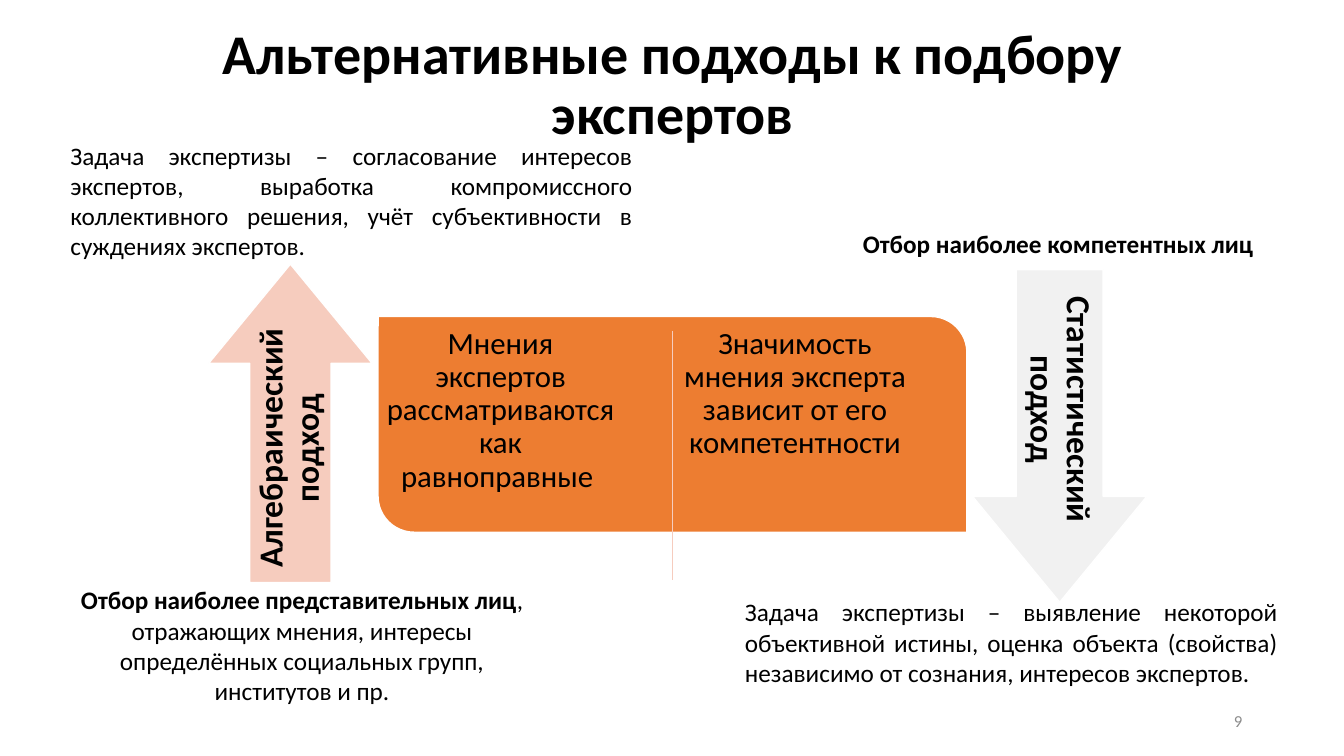
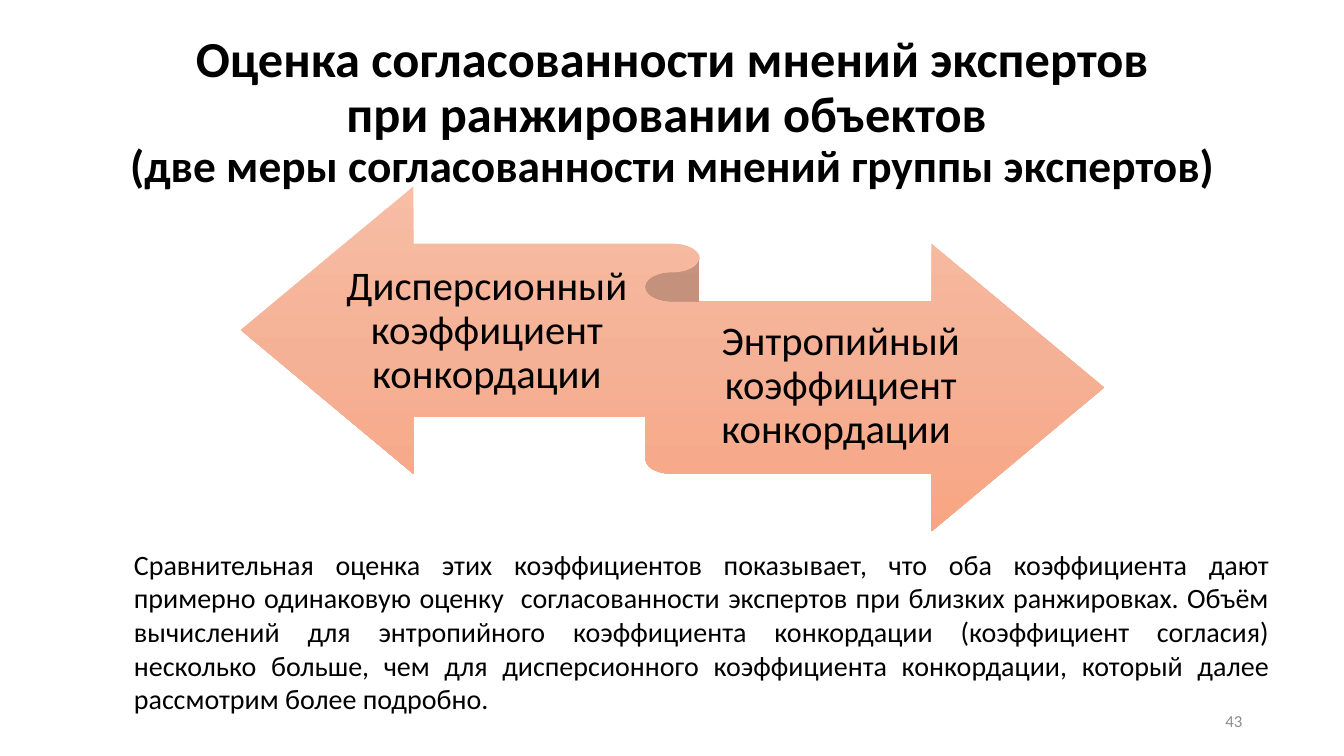
from copy import deepcopy

from lxml import etree
from pptx import Presentation
from pptx.dml.color import RGBColor
from pptx.enum.shapes import MSO_CONNECTOR, MSO_SHAPE
from pptx.enum.text import MSO_ANCHOR, PP_ALIGN
from pptx.oxml.ns import qn
from pptx.util import Pt

PX = 9144  # 100 px to the inch
FONT = "Calibri"
BLACK, GRAY, WHITE = "000000", "8C8C8C", "FFFFFF"
ORANGE, PINK, PALE = "ED7D31", "F6CCBE", "F1F1F1"
RIBBON_FADE = ("F7BDA5", "F5B196", "F8A582")

LEFT, CENTER, RIGHT, JUST = (
    PP_ALIGN.LEFT, PP_ALIGN.CENTER, PP_ALIGN.RIGHT, PP_ALIGN.JUSTIFY)
TOP, MIDDLE = MSO_ANCHOR.TOP, MSO_ANCHOR.MIDDLE
ARROW = MSO_SHAPE.RIGHT_ARROW
RIBBON = MSO_SHAPE.LEFT_RIGHT_RIBBON
PANEL = MSO_SHAPE.ROUND_2_DIAG_RECTANGLE
LINE = MSO_CONNECTOR.STRAIGHT


def px(*sizes):
    return [size * PX for size in sizes]


def rgb(color):
    return RGBColor.from_string(color)


def add_text(slide, at, text, size, bold=False, align=CENTER, anchor=TOP,
             color=BLACK, pads=(10, 5, 10, 5), space=1.0, turn=0, tail=None):
    """Place one paragraph; tail is (text, size, bold) for a last, differing run."""
    box = slide.shapes.add_textbox(*px(*at))
    box.rotation = turn
    frame = box.text_frame
    frame.word_wrap = True
    frame.vertical_anchor = anchor
    (frame.margin_left, frame.margin_top,
     frame.margin_right, frame.margin_bottom) = px(*pads)
    para = frame.paragraphs[0]
    para.text = text
    para.alignment = align
    para.line_spacing = space
    font = para.font
    font.name, font.size, font.bold = FONT, Pt(size), bold
    font.color.rgb = rgb(color)
    if tail:
        run = para.add_run()
        run.text, run.font.size, run.font.bold = tail[0], Pt(tail[1]), tail[2]


def add_shape(slide, kind, at, color, adjust=(), turn=0):
    shape = slide.shapes.add_shape(kind, *px(*at))
    shape.shadow.inherit = False
    shape.rotation = turn
    shape.fill.solid()
    shape.fill.fore_color.rgb = rgb(color)
    shape.line.color.rgb = rgb(WHITE)
    shape.line.width = Pt(1)
    for index, value in enumerate(adjust):
        shape.adjustments[index] = value
    return shape


def add_line(slide, start, end, color):
    line = slide.shapes.add_connector(LINE, *px(*start, *end))
    line.line.color.rgb = rgb(color)
    line.line.width = Pt(1)
    etree.SubElement(line._element.spPr, qn("a:effectLst"))


def fade(shape, colors):
    """Fill with an even top-to-bottom gradient of three colours."""
    fill = shape.fill
    fill.gradient()
    fill.gradient_angle = 270
    stops = shape._element.spPr.find(".//" + qn("a:gsLst"))
    stops.append(deepcopy(stops[-1]))
    for index, (stop, color) in enumerate(zip(fill.gradient_stops, colors)):
        stop.position = index / (len(colors) - 1)
        stop.color.rgb = rgb(color)


def add_arrow(slide, at, label_at, label, color, turn):
    add_shape(slide, ARROW, at, color, (0.498, 0.607), turn)
    add_text(slide, label_at, label, 24, True, anchor=MIDDLE,
             pads=(10,) * 4, space=0.9, turn=turn)


def add_slide(deck, title, size, height, number, tail=None):
    """Start a slide with its title and page number."""
    slide = deck.slides.add_slide(deck.slide_layouts[6])
    add_text(slide, (92, 40, 1150, height), title, size, True,
             anchor=MIDDLE, space=0.9, tail=tail)
    add_text(slide, (942, 695, 300, 40), str(number), 12,
             align=RIGHT, anchor=MIDDLE, color=GRAY)
    return slide


def build_choice(deck):
    slide = add_slide(deck, "Альтернативные подходы к подбору экспертов", 40, 91, 9)
    add_shape(slide, PANEL, (375, 314, 584, 214), ORANGE, (0, 0.167))
    add_line(slide, (667, 328), (667, 575), PINK)
    views = ("Мнения экспертов рассматриваются как равноправные ",
             "Значимость мнения эксперта зависит от его компетентности")
    for index, view in enumerate(views):
        add_text(slide, (370 + 292 * index, 316, 253, 266), view, 22,
                 pads=(9,) * 4, space=0.9)

    add_arrow(slide, (130, 339, 316, 162), (154, 404, 267, 81),
              "Алгебраический подход", PINK, 270)
    add_arrow(slide, (886, 346, 330, 173), (912, 363, 278, 86),
              "Статистический подход", PALE, 90)

    add_text(slide, (60, 134, 577, 131),
             "Задача экспертизы – согласование интересов экспертов, выработка "
             "компромиссного коллективного решения, учёт субъективности в "
             "суждениях экспертов.", 18, align=JUST)
    add_text(slide, (729, 587, 548, 101),
             "Задача экспертизы – выявление некоторой объективной истины, "
             "оценка объекта (свойства) независимо от сознания, интересов "
             "экспертов.", 18, align=JUST)
    add_text(slide, (845, 222, 409, 40), "Отбор наиболее компетентных лиц", 18, True)
    add_text(slide, (70, 575, 459, 131), "Отбор наиболее представительных лиц", 18, True,
             tail=(", отражающих мнения, интересы определённых социальных "
                   "групп, институтов и пр.", 18, False))


def build_measures(deck):
    slide = add_slide(
        deck, "Оценка согласованности мнений экспертов\nпри ранжировании объектов \n",
        36, 145, 43, ("(две меры согласованности мнений группы экспертов)", 32.4, True))
    ribbon = add_shape(slide, RIBBON, (239, 185, 856, 342), PINK)
    fade(ribbon, RIBBON_FADE)
    ribbon.line.fill.background()
    labels = (((342, 245, 282, 168), "Дисперсионный коэффициент конкордации"),
              ((667, 300, 334, 168), "Энтропийный коэффициент конкордации "))
    for at, label in labels:
        add_text(slide, at, label, 29, anchor=MIDDLE, pads=(0, 11, 0, 12), space=0.9)
    add_text(slide, (123, 538, 1146, 178),
             "Сравнительная оценка этих коэффициентов показывает, что оба "
             "коэффициента дают примерно одинаковую оценку  согласованности "
             "экспертов при близких ранжировках. Объём вычислений для "
             "энтропийного коэффициента конкордации (коэффициент согласия) "
             "несколько больше, чем для дисперсионного коэффициента "
             "конкордации, который далее рассмотрим более подробно.",
             20, align=JUST)


def main():
    deck = Presentation()
    deck.slide_width, deck.slide_height = px(1333, 750)
    build_choice(deck)
    build_measures(deck)
    deck.save("out.pptx")


if __name__ == "__main__":
    main()
